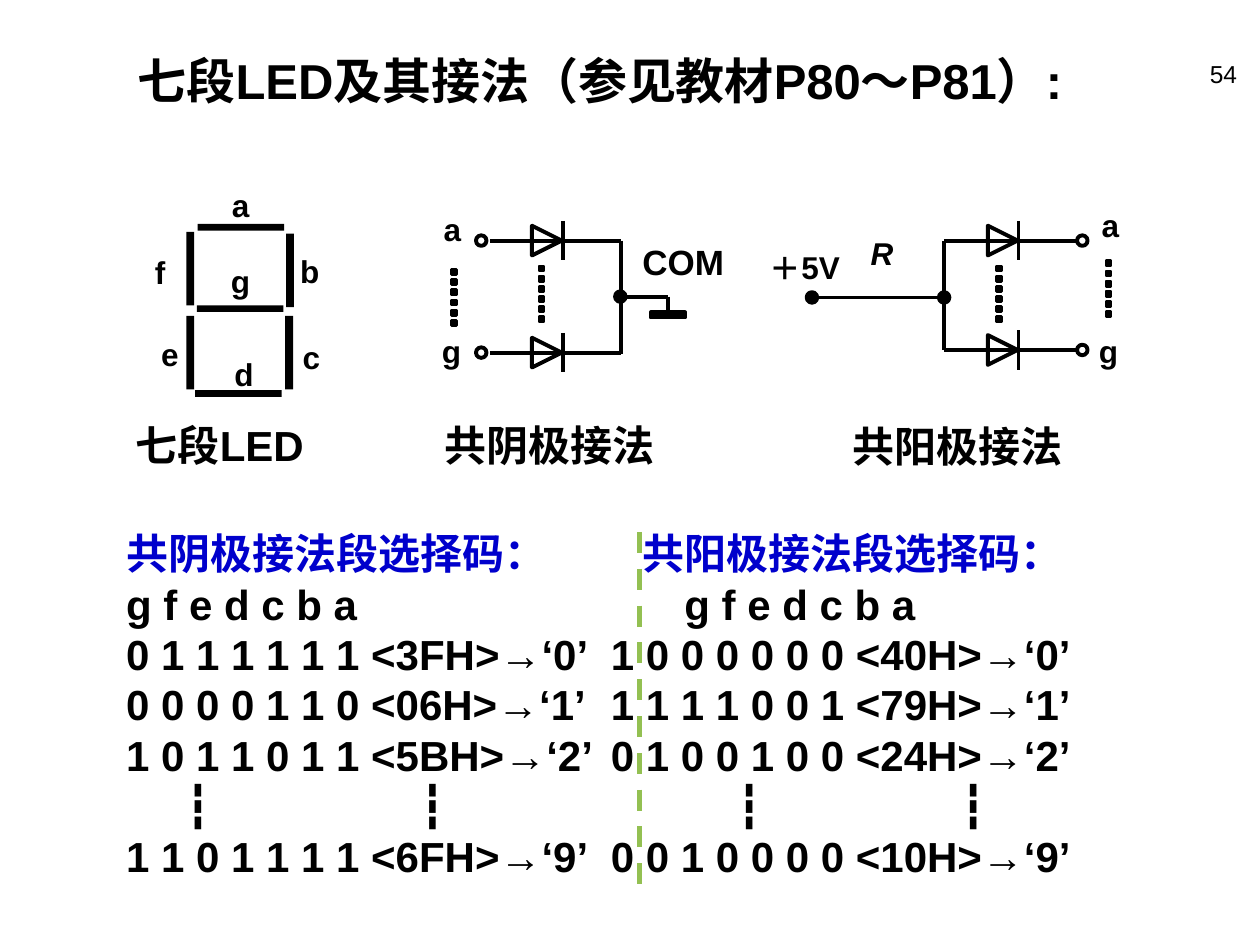
from lxml import etree
from pptx import Presentation
from pptx.dml.color import RGBColor
from pptx.enum.dml import MSO_LINE
from pptx.enum.shapes import MSO_CONNECTOR, MSO_SHAPE
from pptx.enum.text import MSO_ANCHOR, MSO_AUTO_SIZE, PP_ALIGN
from pptx.oxml.ns import qn
from pptx.util import Pt

BLACK = RGBColor(0x00, 0x00, 0x00)
WHITE = RGBColor(0xFF, 0xFF, 0xFF)
BLUE = RGBColor(0x00, 0x00, 0xCC)
GREEN = RGBColor(0x93, 0xC0, 0x52)
RECT, OVAL, STRAIGHT = MSO_SHAPE.RECTANGLE, MSO_SHAPE.OVAL, MSO_CONNECTOR.STRAIGHT
LEFT, RIGHT, JUSTIFY = PP_ALIGN.LEFT, PP_ALIGN.RIGHT, PP_ALIGN.JUSTIFY
DASH, TOP, NO_FIT = MSO_LINE.DASH, MSO_ANCHOR.TOP, MSO_AUTO_SIZE.NONE
FONT = "Arial"
WIRE = 2.25

# Text, left, top, width
SEGMENT_LABELS = [
    ("a", 132.5, 106.5, 10), ("b", 171.5, 144, 11), ("c", 173, 193, 10),
    ("d", 134, 203, 11), ("e", 92, 191.5, 10), ("f", 88.5, 144.5, 6),
    ("g", 132, 149.5, 11),
]
CIRCUIT_LABELS = [
    ("a", 253.5, 120, 10), ("g", 252.5, 190, 11),
    ("a", 629.5, 118, 10), ("g", 628, 190, 11),
    ("＋", 440, 142.5, 18), ("5V", 458, 142, 22),
]
CAPTIONS = [("七段LED", 70.5, 236, 137.5), ("共阴极接法", 247, 236, 144),
            ("共阳极接法", 480, 237, 156)]

# Rows of the code table with the tab stops (position, alignment) they use
CODE_TABS = [(277, "l")]
ELLIPSIS_TABS = [(41, "ctr"), (175, "ctr"), (356, "ctr"), (484, "ctr")]
CODE_ROWS = [
    ("共阴极接法段选择码：\t共阳极接法段选择码：", [(295, "l")], BLUE),
    ("g f e d c b a\tg f e d c b a", [(319, "l")], BLACK),
    ("0 1 1 1 1 1 1 <3FH>→‘0’\t1 0 0 0 0 0 0 <40H>→‘0’", CODE_TABS, BLACK),
    ("0 0 0 0 1 1 0 <06H>→‘1’\t1 1 1 1 0 0 1 <79H>→‘1’", CODE_TABS, BLACK),
    ("1 0 1 1 0 1 1 <5BH>→‘2’\t0 1 0 0 1 0 0 <24H>→‘2’", CODE_TABS, BLACK),
    ("\t┇\t┇\t┇\t┇", ELLIPSIS_TABS, BLACK),
    ("1 1 0 1 1 1 1 <6FH>→‘9’\t0 0 1 0 0 0 0 <10H>→‘9’", CODE_TABS, BLACK),
]


def format_para(para, size, color=BLACK, bold=True, align=LEFT):
    para.alignment = align
    font = para.font
    font.name, font.size, font.bold = FONT, Pt(size), bold
    font.color.rgb = color


def add_text(page, text, left, top, width, height, size, bold=True, align=LEFT):
    box = page.shapes.add_textbox(Pt(left), Pt(top), Pt(width), Pt(height))
    box.text_frame.word_wrap = True
    para = box.text_frame.paragraphs[0]
    para.text = text
    format_para(para, size, bold=bold, align=align)
    return box


def add_label(page, text, left, top, width):
    """Add a tight one-line label without insets."""
    box = add_text(page, text, left, top, width, 21.5, 18)
    frame = box.text_frame
    frame.word_wrap = False
    frame.margin_left = frame.margin_right = frame.margin_top = frame.margin_bottom = 0
    return box


def add_title(page, text):
    title = page.shapes.title
    title.left, title.top, title.width, title.height = Pt(71.5), Pt(25), Pt(554.5), Pt(75)
    frame = title.text_frame
    frame.text = text
    frame.word_wrap = True
    frame.auto_size = NO_FIT
    frame.vertical_anchor = TOP
    format_para(frame.paragraphs[0], 28)


def add_block(page, kind, left, top, width, height, fill=BLACK, line=0):
    shape = page.shapes.add_shape(kind, Pt(left), Pt(top), Pt(width), Pt(height))
    shape.shadow.inherit = False
    shape.fill.solid()
    shape.fill.fore_color.rgb = fill
    if line:
        shape.line.color.rgb = BLACK
        shape.line.width = Pt(line)
    else:
        shape.line.fill.background()


def add_node(page, x, y, fill=BLACK):
    """Add a circuit node centred on x, y."""
    add_block(page, OVAL, x - 3, y - 3, 6, 6, fill, WIRE)


def add_line(page, x1, y1, x2, y2, color=BLACK, width=WIRE):
    line = page.shapes.add_connector(STRAIGHT, Pt(x1), Pt(y1), Pt(x2), Pt(y2))
    line.line.color.rgb = color
    line.line.width = Pt(width)
    etree.SubElement(line._element.spPr, qn("a:effectLst"))
    return line


def add_dots(page, left, top):
    """Add a column of six squares that stands for the omitted branches."""
    for index in range(6):
        add_block(page, RECT, left, top + 5.8 * index, 3, 3, line=1.5)


def add_branch(page, y, diode_x, wire_start, wire_end, terminal_x):
    """Add one horizontal branch: diode, wire and open terminal."""
    builder = page.shapes.build_freeform(Pt(diode_x + 17), Pt(y))
    builder.add_line_segments([(Pt(diode_x), Pt(y - 8.5)), (Pt(diode_x), Pt(y + 8.5))])
    triangle = builder.convert_to_shape()
    triangle.shadow.inherit = False
    triangle.fill.background()
    triangle.line.color.rgb = BLACK
    triangle.line.width = Pt(WIRE)
    add_line(page, diode_x + 17.5, y - 11.3, diode_x + 17.5, y + 11.3)
    add_line(page, wire_start, y, wire_end, y)
    add_node(page, terminal_x, y, WHITE)


def add_seven_segments(page):
    for left, top in [(113, 128), (112.5, 174.5), (111.5, 223)]:
        add_block(page, RECT, left, top, 49.5, 3.8)
    for left, top in [(106.5, 132.5), (163.5, 133.5), (106.5, 180.5), (163, 180.5)]:
        add_block(page, RECT, left, top, 4.5, 42)
    for label in SEGMENT_LABELS:
        add_label(page, *label)


def add_common_cathode(page):
    for y in (137.5, 201.5):
        add_branch(page, y, 304, 280, 355, 275)
    add_line(page, 355, 137.5, 355, 202.5)
    add_line(page, 355, 169.5, 381.5, 169.5)
    add_line(page, 381.5, 169.5, 381.5, 178)
    add_block(page, RECT, 372, 178.5, 19.5, 3, line=WIRE)
    add_node(page, 354.5, 169.5)
    add_dots(page, 308, 152)
    add_dots(page, 258, 154)
    add_text(page, "COM", 360, 134, 72, 31.5, 20)


def add_common_anode(page):
    for y in (137.5, 200):
        add_branch(page, y, 564.5, 539.5, 615.5, 618.5)
    add_line(page, 539.5, 137.5, 539.5, 200)
    add_line(page, 462, 170, 539.5, 170)
    add_node(page, 539.5, 170)
    add_node(page, 464, 170)
    add_dots(page, 569.5, 152)
    add_dots(page, 632, 149)
    resistor = add_label(page, "R", 497.5, 133.5, 13)
    resistor.text_frame.paragraphs[0].font.italic = True


def add_tabs(para, stops):
    tabs = etree.SubElement(para._p.get_or_add_pPr(), qn("a:tabLst"))
    for position, align in stops:
        etree.SubElement(tabs, qn("a:tab"), pos=str(Pt(position)), algn=align)


def add_code_table(page):
    box = page.shapes.add_textbox(Pt(65), Pt(298), Pt(663), Pt(209))
    frame = box.text_frame
    frame.word_wrap = True
    for index, (text, stops, color) in enumerate(CODE_ROWS):
        para = frame.add_paragraph() if index else frame.paragraphs[0]
        para.text = text
        add_tabs(para, stops)
        format_para(para, 24, color, align=JUSTIFY)
    divider = add_line(page, 365.5, 304, 365.5, 508, GREEN, 3)
    divider.line.dash_style = DASH


def main():
    deck = Presentation()
    deck.slide_width, deck.slide_height = Pt(720), Pt(540)
    page = deck.slides.add_slide(deck.slide_layouts[5])
    add_text(page, "54", 564, 30, 150, 36, 14, bold=False, align=RIGHT)
    add_title(page, "七段LED及其接法（参见教材P80～P81）:")
    add_seven_segments(page)
    for text, left, top, width in CAPTIONS:
        add_text(page, text, left, top, width, 36, 24)
    add_common_cathode(page)
    add_common_anode(page)
    for label in CIRCUIT_LABELS:
        add_label(page, *label)
    add_code_table(page)
    deck.save("out.pptx")


if __name__ == "__main__":
    main()
